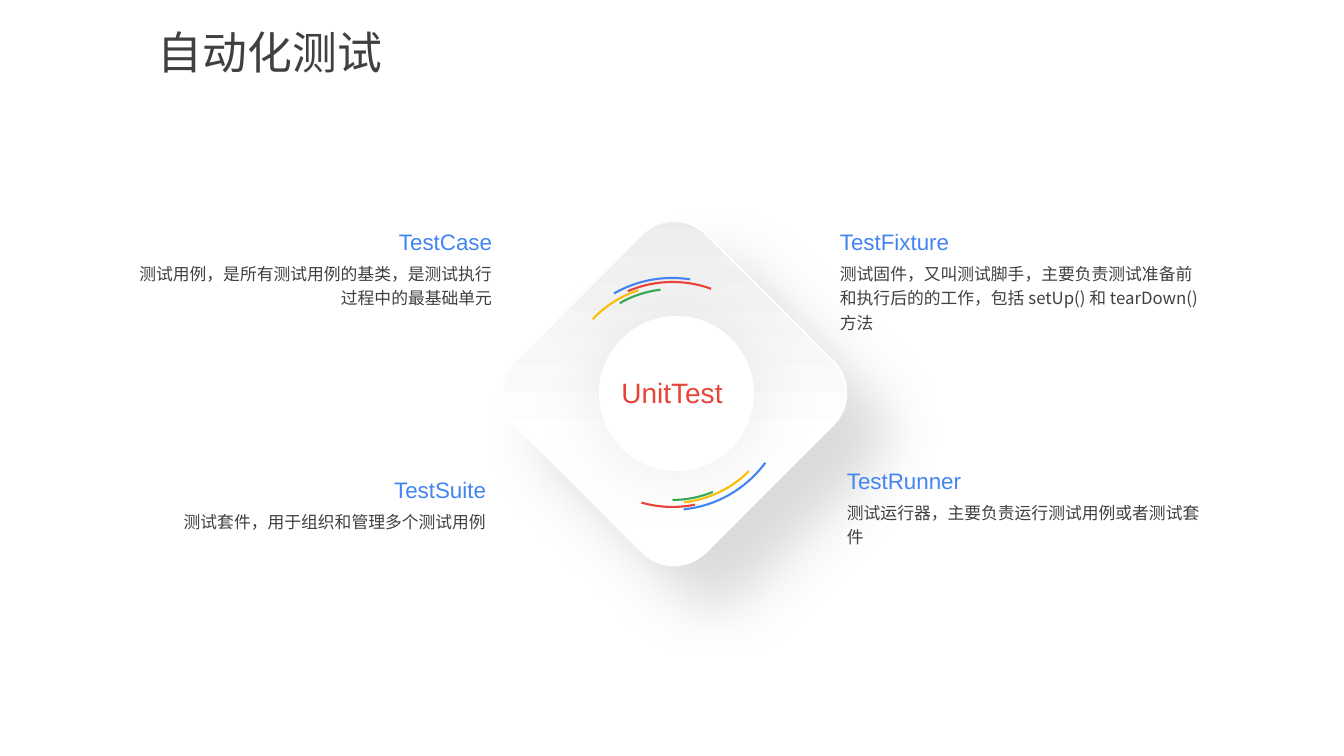
"""Build the UnitTest overview slide: four parts around a central diamond."""
import copy
import pptx
import pptx.util
import pptx.dml.color
import pptx.enum.shapes
import pptx.enum.text
import pptx.oxml.ns
import lxml.etree

PX = 914400 / 100.8
THEME = {
    "white": "FFFFFF", "gray": "ECECEC", "text": "404040",
    "blue": "4384F1", "red": "E94236", "gold": "FBBD06", "green": "33A952",
    "dark": "A6A6A6", "soft": "BFBFBF",
    "latin": "Arial", "cjk": "Noto Sans CJK SC",
    "title": 32, "core": 20, "head": 16, "body": 12, "line": 1.5,
}
KIND = pptx.enum.shapes.MSO_SHAPE
ALIGN = pptx.enum.text.PP_ALIGN
RGB = pptx.dml.color.RGBColor.from_string
qn = pptx.oxml.ns.qn


def write(text, box, size, color="text", font="latin", align=ALIGN.LEFT, space=None):
    area = slide.shapes.add_textbox(*[round(n * PX) for n in box])
    frame = area.text_frame
    frame.word_wrap = True
    frame.auto_size = pptx.enum.text.MSO_AUTO_SIZE.SHAPE_TO_FIT_TEXT
    para = frame.paragraphs[0]
    para.alignment = align
    if space:
        para.line_spacing = space
    run = para.add_run()
    run.text = text
    run.font.size = pptx.util.Pt(THEME[size])
    run.font.color.rgb = RGB(THEME[color])
    run.font.name = THEME[font]
    east = lxml.etree.SubElement(run.font._element, qn("a:ea"))
    east.set("typeface", THEME["cjk"])


def draw(shapes, kind, left, top, side, line=None, shade=None):
    shape = shapes.add_shape(kind, *[round(n * PX) for n in (left, top, side, side)])
    shape.shadow.inherit = False
    if line:
        shape.line.color.rgb = RGB(THEME[line])
        shape.line.width = pptx.util.Pt(THEME["line"])
    else:
        shape.line.fill.background()
    if shade:
        color, alpha, blur, dist, angle = shade
        effect = shape.element.spPr.find(qn("a:effectLst"))
        outer = lxml.etree.SubElement(effect, qn("a:outerShdw"))
        outer.set("blurRad", str(pptx.util.Pt(blur)))
        outer.set("dist", str(pptx.util.Pt(dist)))
        outer.set("dir", str(angle * 60000))
        outer.set("algn", "ctr")
        outer.set("rotWithShape", "0")
        tone = lxml.etree.SubElement(outer, qn("a:srgbClr"), val=THEME[color])
        lxml.etree.SubElement(tone, qn("a:alpha"), val=str(alpha * 1000))
    return shape


deck = pptx.Presentation()
deck.slide_width = round(1344 * PX)
deck.slide_height = round(756 * PX)
slide = deck.slides.add_slide(deck.slide_layouts[6])

diamond = draw(slide.shapes, KIND.ROUNDED_RECTANGLE, 539, 258, 270, "white",
               ("dark", 40, 40, 40, 45))
diamond.rotation = 45
diamond.fill.gradient()
diamond.fill.gradient_angle = 135
stops = diamond.element.spPr.find(".//" + qn("a:gsLst"))
stops.insert(1, copy.deepcopy(stops[0]))
ramp = [(0, "white"), (0.36, "white"), (1, "gray")]
for stop, (place, color) in zip(diamond.fill.gradient_stops, ramp):
    stop.position = place
    stop.color.rgb = RGB(THEME[color])

disc = draw(slide.shapes, KIND.OVAL, 599, 316, 155, shade=("soft", 31, 46, 0, 0))
disc.fill.solid()
disc.fill.fore_color.rgb = RGB(THEME["white"])
write("UnitTest", (529, 371, 286, 44), "core", "red", align=ALIGN.CENTER)

parts = [
    ("TestFixture", "测试固件，又叫测试脚手，主要负责测试准备前和执行后的的工作，包括 setUp() 和 tearDown()方法",
     830, 223, 84, ALIGN.LEFT),
    ("TestRunner", "测试运行器，主要负责运行测试用例或者测试套件", 837, 462, 59, ALIGN.LEFT),
    ("TestCase", "测试用例，是所有测试用例的基类，是测试执行过程中的最基础单元",
     114, 223, 59, ALIGN.RIGHT),
    ("TestSuite", "测试套件，用于组织和管理多个测试用例", 108, 471, 32, ALIGN.RIGHT),
]
wide, slim = 388, 242
for head, body, left, top, high, align in parts:
    write(body, (left, top + 32, wide, high), "body", font="cjk", align=align, space=1.2)
    shift = wide - slim if align == ALIGN.RIGHT else 0
    write(head, (left + shift, top, slim, 37), "head", "blue", align=align)

write("自动化测试", (148, 20, 746, 65), "title")

mid = (672, 394)
sides = {"red": 225, "gold": 218, "green": 211, "blue": 232}
arcs = [
    ("red", 30, 170.41, 186.95), ("gold", 45, 192.82, 0),
    ("green", 0, 162, 175.49), ("blue", 0, 165.51, 194.14),
    ("red", 270, 203.95, 14.05), ("gold", 285, 19.74, 36.97),
    ("green", 240, 201.91, 0), ("blue", 240, 192.61, 0),
]
group = slide.shapes.add_group_shape()
for color, turn, start, end in arcs:
    side = sides[color]
    arc = draw(group.shapes, KIND.ARC, mid[0] - side // 2, mid[1] - side // 2, side, color)
    arc.fill.background()
    arc.rotation = turn
    arc.element.spPr.xfrm.set("flipV", "1")
    arc.adjustments[0] = start
    arc.adjustments[1] = end

deck.save("out.pptx")
